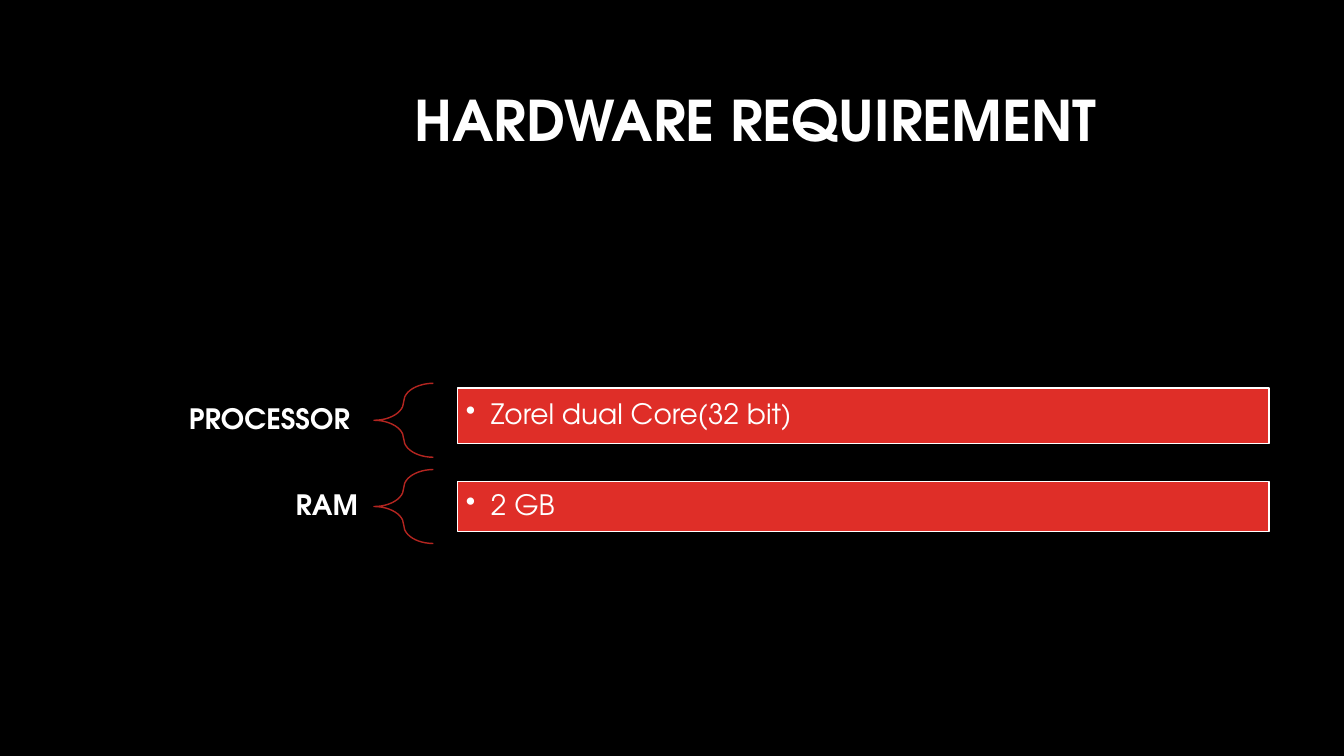
from lxml import etree
from pptx import Presentation
from pptx.dml.color import RGBColor
from pptx.enum import shapes, text
from pptx.oxml.ns import qn
from pptx.util import Pt

# Content: label, detail, centre of label and brace, centre of bar, bar height
TITLE = "HARDWARE REQUIREMENT "
REQUIREMENTS = [
    ("PROCESSOR ", "Zorel dual Core(32 bit)", 300.2, 297, 39.6),
    ("RAM", "2 GB", 361.8, 361.8, 35.4),
]

# Layout in points: left, width
LABEL, BRACE, BAR = (54, 213.1), (267.1, 42.5), (326.9, 579.6)
LABEL_HEIGHT, BRACE_HEIGHT = 40, 52.8
BULLET_INDENT = 18
FONT = "TeX Gyre Adventor"
BLACK, WHITE, RED, DARK_RED = "000000", "FFFFFF", "DF2E28", "B32520"


def colour(value):
    return RGBColor.from_string(value)


def box(column, centre, height):
    left, width = column
    return [Pt(n) for n in (left, centre - height / 2, width, height)]


def outline(shape, line):
    shape.shadow.inherit = False
    shape.line.color.rgb = colour(line)
    shape.line.width = Pt(1)


def write(shape, words, size, bold, align, inset_x, inset_y):
    frame = shape.text_frame
    paragraph = frame.paragraphs[0]
    run = paragraph.add_run()
    run.text = words
    run.font.color.rgb = colour(WHITE)
    formats = {
        frame: dict(word_wrap=True, vertical_anchor=text.MSO_ANCHOR.MIDDLE,
                    margin_left=Pt(inset_x), margin_right=Pt(inset_x),
                    margin_top=Pt(inset_y), margin_bottom=Pt(inset_y)),
        paragraph: dict(alignment=align, line_spacing=0.9),
        run.font: dict(name=FONT, size=Pt(size), bold=bold),
    }
    for target, values in formats.items():
        for key, value in values.items():
            setattr(target, key, value)
    return paragraph


def add_bullet(paragraph):
    properties = paragraph._p.get_or_add_pPr()
    properties.set("marL", str(Pt(BULLET_INDENT)))
    properties.set("indent", str(-Pt(BULLET_INDENT)))
    etree.SubElement(properties, qn("a:buChar")).set("char", "•")


deck = Presentation()
deck.slide_width, deck.slide_height = Pt(960), Pt(540)
slide = deck.slides.add_slide(deck.slide_layouts[6])
slide.background.fill.solid()
slide.background.fill.fore_color.rgb = colour(BLACK)
parts = slide.shapes
RIGHT, LEFT = text.PP_ALIGN.RIGHT, text.PP_ALIGN.LEFT

# Title
title = parts.add_textbox(*box((123.1, 678.2), 88.2, 101.5))
write(title, TITLE, 40, True, RIGHT, 7.2, 3.6)

# One row per requirement: label, brace, bar
for name, detail, centre, bar_centre, bar_height in REQUIREMENTS:
    label = parts.add_textbox(*box(LABEL, centre, LABEL_HEIGHT))
    write(label, name, 20, True, RIGHT, 11.5, 4.3)

    brace = parts.add_shape(shapes.MSO_SHAPE.LEFT_BRACE,
                            *box(BRACE, centre, BRACE_HEIGHT))
    brace.adjustments[0] = 0.35
    brace.fill.background()
    outline(brace, DARK_RED)

    bar = parts.add_shape(shapes.MSO_SHAPE.RECTANGLE,
                          *box(BAR, bar_centre, bar_height))
    bar.fill.solid()
    bar.fill.fore_color.rgb = colour(RED)
    outline(bar, WHITE)
    add_bullet(write(bar, detail, 20, False, LEFT, 5.8, 5.8))

deck.save("out.pptx")
